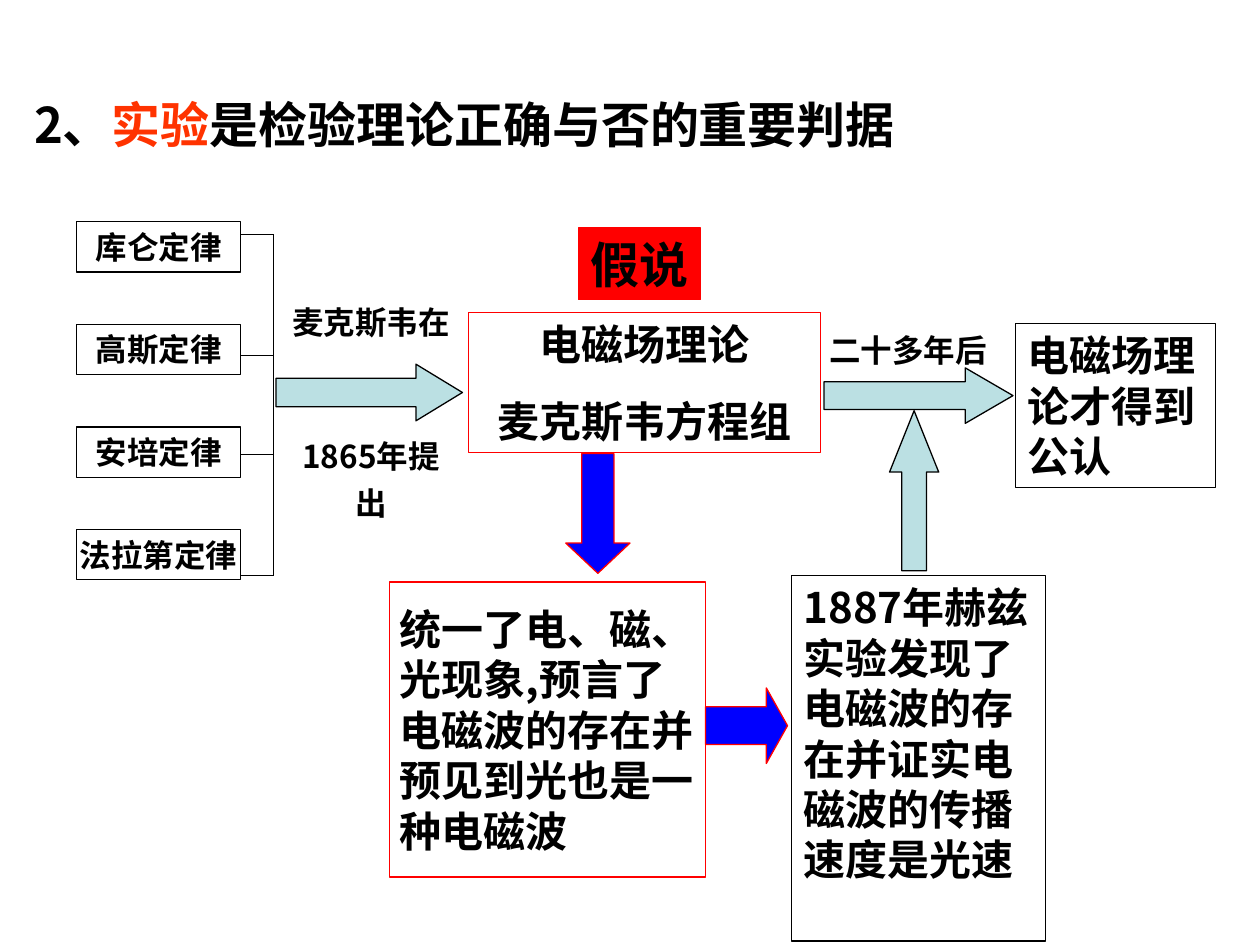
from typing import NamedTuple

from lxml import etree
from pptx import Presentation
from pptx import util as u
from pptx.dml.color import RGBColor
from pptx.enum import shapes, text
from pptx.oxml.ns import qn

COLUMNS, ROWS = 100, 75
SANS, SERIF = "Noto Sans CJK SC", "Times New Roman"
BLACK, RED, BLUE, TEAL, ORANGE = "000000", "FF0000", "0000FF", "BBE0E3", "FF3300"
LEFT, CENTER = text.PP_ALIGN.LEFT, text.PP_ALIGN.CENTER
KIND = shapes.MSO_SHAPE

deck = Presentation()
deck.slide_width, deck.slide_height = u.Inches(10), u.Inches(7.5)
page = deck.slides.add_slide(deck.slide_layouts[5])


class Area(NamedTuple):
    """A place on the grid, in columns and rows."""
    column: float
    row: float
    width: float
    height: float


class Box(NamedTuple):
    area: Area
    lines: list[str]
    size: float = 24
    line: str | None = BLACK
    fill: str | None = None
    font: str = SANS
    align: text.PP_ALIGN = LEFT
    gap: float = 0
    spacing: float = 1
    inset: float = 0.1
    middle: bool = False
    wrap: bool = True


class Arrow(NamedTuple):
    area: Area
    kind: shapes.MSO_SHAPE
    head: float
    fill: str
    line: str


def x(columns: float) -> int:
    return round(deck.slide_width * columns / COLUMNS)


def y(rows: float) -> int:
    return round(deck.slide_height * rows / ROWS)


def emu(area: Area) -> tuple[int, int, int, int]:
    return x(area.column), y(area.row), x(area.width), y(area.height)


def paint(fill, color: str | None) -> None:
    if color is None:
        fill.background()
    else:
        fill.solid()
        fill.fore_color.rgb = RGBColor.from_string(color)


def add_span(para, words: str, *, size: float, font: str = SANS, color: str = BLACK) -> None:
    span = para.add_run()
    span.text = words
    span.font.size, span.font.bold, span.font.name = u.Pt(size), True, font
    paint(span.font.fill, color)
    east_asian = etree.SubElement(span.font._element, qn("a:ea"))
    east_asian.set("typeface", SANS)


def set_frame(frame, *, inset: float = 0.1, middle: bool = False, wrap: bool = True) -> None:
    frame.margin_left = frame.margin_right = u.Inches(inset)
    frame.margin_top = frame.margin_bottom = u.Inches(0.05)
    frame.word_wrap = wrap
    frame.vertical_anchor = text.MSO_ANCHOR.MIDDLE if middle else text.MSO_ANCHOR.TOP
    frame.auto_size = text.MSO_AUTO_SIZE.NONE if middle else text.MSO_AUTO_SIZE.SHAPE_TO_FIT_TEXT


def add_shape(kind, area: Area, fill: str | None, line: str):
    shape = page.shapes.add_shape(kind, *emu(area))
    shape.shadow.inherit = False
    paint(shape.fill, fill)
    paint(shape.line.fill, line)
    shape.line.width = u.Pt(0.75)
    return shape


def add_box(box: Box) -> None:
    if box.line is None:
        shape = page.shapes.add_textbox(*emu(box.area))
    else:
        shape = add_shape(KIND.RECTANGLE, box.area, box.fill, box.line)
    frame = shape.text_frame
    set_frame(frame, inset=box.inset, middle=box.middle, wrap=box.wrap)
    for index, words in enumerate(box.lines):
        para = frame.add_paragraph() if index else frame.paragraphs[0]
        para.alignment, para.line_spacing = box.align, box.spacing
        para.space_before = u.Pt(box.gap if index else 0)
        add_span(para, words, size=box.size, font=box.font)


def add_arrow(arrow: Arrow) -> None:
    shape = add_shape(arrow.kind, arrow.area, arrow.fill, arrow.line)
    shape.adjustments[0], shape.adjustments[1] = 0.5, arrow.head


def add_line(start: tuple[float, float], end: tuple[float, float]) -> None:
    line = page.shapes.add_connector(
        shapes.MSO_CONNECTOR.STRAIGHT, x(start[0]), y(start[1]), x(end[0]), y(end[1]))
    paint(line.line.fill, BLACK)
    line.line.width = u.Pt(0.75)
    etree.SubElement(line._element.spPr, qn("a:effectLst"))


def add_title(area: Area, spans: list[tuple[str, str]]) -> None:
    title = page.shapes.title
    title.left, title.top, title.width, title.height = emu(area)
    set_frame(title.text_frame, middle=True)
    para = title.text_frame.paragraphs[0]
    para.alignment = LEFT
    for words, color in spans:
        add_span(para, words, size=28, color=color)


def add_laws(names: list[str], taps: list[float]) -> None:
    """Stack the laws and tie them to one vertical bracket."""
    left, top, width, pitch, bracket = 6.1, 17.6, 13, 8.14, 21.7
    for index, (name, tap) in enumerate(zip(names, taps)):
        area = Area(left, top + index * pitch, width, 4)
        add_box(Box(area, [name], 18, align=CENTER, inset=0.1 if len(name) < 5 else 0))
        add_line((left + width, tap), (bracket, tap))
    add_line((bracket, taps[0]), (bracket, taps[-1]))


BOXES = [
    Box(Area(45.9, 18.1, 9.7, 5.7), ["假说"], 28, RED, RED, SERIF, CENTER,
        inset=0.05),
    Box(Area(21.9, 22.8, 15.1, 19.1), ["麦克斯韦在", "1865年提出"], 18, None,
        align=CENTER, gap=49.4, spacing=1.25),
    Box(Area(37.2, 24.8, 27.9, 11.1), ["电磁场理论", "麦克斯韦方程组"], line=RED,
        align=CENTER, gap=15),
    Box(Area(30.9, 46.2, 25.1, 23.4),
        ["统一了电、磁、光现象,预言了电磁波的存在并预见到光也是一种电磁波"],
        line=RED, inset=0.08, middle=True),
    Box(Area(62.8, 45.7, 20.2, 29),
        ["1887年赫兹实验发现了电磁波的存在并证实电磁波的传播速度是光速"]),
    Box(Area(80.6, 25.7, 15.9, 13), ["电磁场理论才得到公认"], font=SERIF),
    Box(Area(64.6, 25.8, 14.9, 4), ["二十多年后"], 18, None, font=SERIF, align=CENTER),
]
ARROWS = [
    Arrow(Area(44.9, 36, 5.1, 9.5), KIND.DOWN_ARROW, 0.47, BLUE, RED),
    Arrow(Area(70.6, 32.6, 3.9, 12.7), KIND.UP_ARROW, 1.25, TEAL, BLACK),
    Arrow(Area(56, 54.6, 6.5, 6), KIND.RIGHT_ARROW, 0.28, BLUE, RED),
    Arrow(Area(21.9, 28.9, 14.8, 4.5), KIND.RIGHT_ARROW, 0.82, TEAL, BLACK),
    Arrow(Area(65.4, 29.2, 15, 4.4), KIND.RIGHT_ARROW, 0.86, TEAL, BLACK),
]

add_title(Area(1.7, 1.7, 97.6, 16.3),
          [("2、", BLACK), ("实验", ORANGE), ("是检验理论正确与否的重要判据", BLACK)])
add_laws(["库仑定律", "高斯定律", "安培定律", "法拉第定律"], [18.6, 28.2, 36.1, 45.7])
for item in BOXES:
    add_box(item)
for item in ARROWS:
    add_arrow(item)
deck.save("out.pptx")
